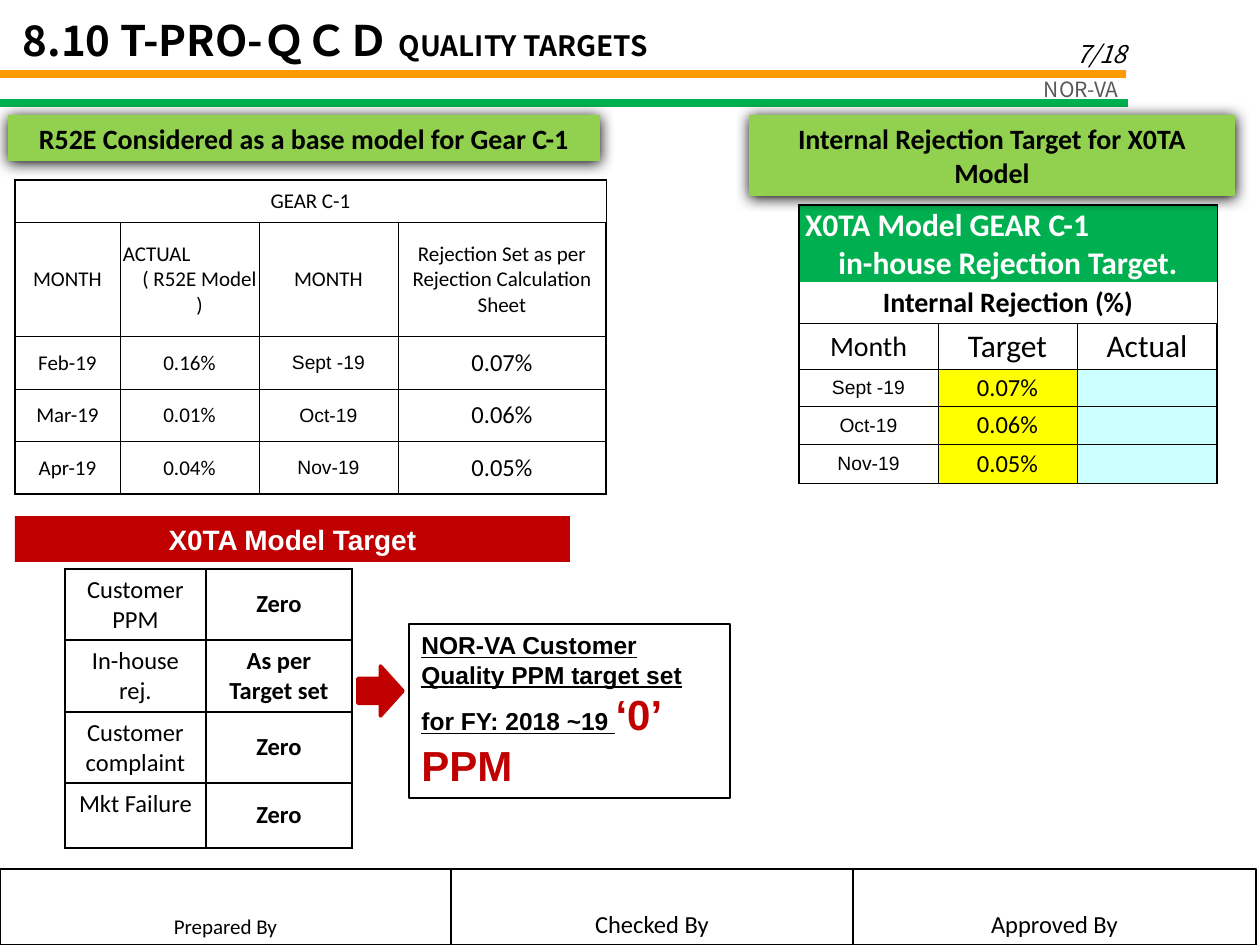
from lxml.etree import SubElement
from pptx import Presentation
from pptx.dml.color import RGBColor
from pptx.enum.shapes import MSO_CONNECTOR, MSO_SHAPE
from pptx.enum.text import MSO_ANCHOR, MSO_AUTO_SIZE, PP_ALIGN
from pptx.oxml import parse_xml
from pptx.oxml.ns import nsdecls, qn
from pptx.util import Pt

EMU_PER_PIXEL = 914400 / 126
COLORS = {
    "black": "000000", "white": "FFFFFF", "gray": "595959", "orange": "FF9900",
    "green": "00B050", "lime": "92D050", "red": "C00000", "yellow": "FFFF00",
    "aqua": "CCFFFF",
}
LEFT, CENTER, RIGHT = PP_ALIGN.LEFT, PP_ALIGN.CENTER, PP_ALIGN.RIGHT
TOP, MIDDLE, BOTTOM = MSO_ANCHOR.TOP, MSO_ANCHOR.MIDDLE, MSO_ANCHOR.BOTTOM


def px(value):
    return round(value * EMU_PER_PIXEL)


def rgb(color):
    return RGBColor.from_string(COLORS[color])


def look(size, name="Calibri", color="black", **font_format):
    return {"size": Pt(size), "name": name, "color": color, "bold": False, **font_format}


BODY = look(12)
VALUE = look(14)
STRONG = look(14, bold=True)
MONTH = look(11, "Arial")
BANNER = look(16, bold=True)


def add_run(paragraph, text, font_format):
    if not text:
        ending = SubElement(paragraph._p, qn("a:endParaRPr"))
        ending.set("sz", str(round(font_format["size"].pt * 100)))
        return
    run = paragraph.add_run()
    run.text = text
    for key, value in font_format.items():
        if key == "color":
            run.font.color.rgb = rgb(value)
        else:
            setattr(run.font, key, value)
    east_asian = SubElement(run.font._element, qn("a:ea"))
    east_asian.set("typeface", font_format["name"])


def write(frame, paragraphs):
    """Each paragraph is (alignment, left indent, [(text, look), ...])."""
    frame.word_wrap = True
    for index, (alignment, indent, runs) in enumerate(paragraphs):
        paragraph = frame.add_paragraph() if index else frame.paragraphs[0]
        paragraph.alignment = alignment
        if indent:
            paragraph._p.get_or_add_pPr().set("marL", str(px(indent)))
        for text, font_format in runs:
            add_run(paragraph, text, font_format)


def line_of(text, font_format, alignment=CENTER, indent=0):
    return alignment, indent, [(text, font_format)]


def add_label(slide, box, paragraph):
    label = slide.shapes.add_textbox(*map(px, box))
    label.text_frame.vertical_anchor = MIDDLE
    write(label.text_frame, [paragraph])


def add_rule(slide, right, y, color):
    rule = slide.shapes.add_connector(MSO_CONNECTOR.STRAIGHT, 0, px(y), px(right), px(y))
    rule.line.color.rgb = rgb(color)
    rule.line.width = Pt(4.5)
    SubElement(rule._element.spPr, qn("a:effectLst"))


def add_box(slide, box, paragraphs=(), fill=None, line=None, width=1, anchor=MIDDLE,
            preset=MSO_SHAPE.RECTANGLE, shadow=False):
    shape = slide.shapes.add_shape(preset, *map(px, box))
    if fill:
        shape.fill.solid()
        shape.fill.fore_color.rgb = rgb(fill)
    else:
        shape.fill.background()
    if line:
        shape.line.color.rgb = rgb(line)
        shape.line.width = Pt(width)
    else:
        shape.line.fill.background()
    shape.shadow.inherit = False
    if shadow:
        effects = shape._element.spPr.find(qn("a:effectLst"))
        effects.append(parse_xml(
            f'<a:outerShdw {nsdecls("a")} blurRad="{Pt(8.5)}" dist="{Pt(1)}" dir="5400000" '
            f'rotWithShape="0"><a:srgbClr val="{COLORS["black"]}"/></a:outerShdw>'))
    shape.text_frame.vertical_anchor = anchor
    write(shape.text_frame, paragraphs)


def set_borders(cell, widths):
    """Widths run left, right, top, bottom; zero hides the edge."""
    properties = cell._tc.get_or_add_tcPr()
    for index, (side, width) in enumerate(zip("LRTB", widths)):
        paint = (f'<a:solidFill><a:srgbClr val="{COLORS["black"]}"/></a:solidFill>'
                 if width else "<a:noFill/>")
        properties.insert(index, parse_xml(
            f'<a:ln{side} {nsdecls("a")} w="{Pt(width)}">{paint}</a:ln{side}>'))


def add_grid(slide, origin, columns, heights, rows, outer=(1, 1, 1, 1), inner=0.5,
             margins=(1, 1, 1, 0), open_edges=()):
    """Each cell is (paragraphs, fill, anchor); a one-cell row spans all columns."""
    size = sum(columns), sum(heights)
    table = slide.shapes.add_table(
        len(heights), len(columns), *map(px, (*origin, *size))).table
    table.first_row = table.horz_banding = False
    for column, width in zip(table.columns, columns):
        column.width = px(width)
    last_row, last_column = len(heights) - 1, len(columns) - 1
    for r, (row, height) in enumerate(zip(rows, heights)):
        table.rows[r].height = px(height)
        if len(row) == 1:
            table.cell(r, 0).merge(table.cell(r, last_column))
        for c in range(len(columns)):
            cell = table.cell(r, c)
            cell.fill.background()
            set_borders(cell, (
                inner if c else outer[0],
                inner if c < last_column else outer[1],
                (0 if r - 1 in open_edges else inner) if r else outer[2],
                (0 if r in open_edges else inner) if r < last_row else outer[3]))
            sides = ("margin_left", "margin_top", "margin_right", "margin_bottom")
            for side, margin in zip(sides, margins):
                setattr(cell, side, px(margin))
            if c < len(row):
                paragraphs, fill, cell.vertical_anchor = row[c]
                if fill:
                    cell.fill.solid()
                    cell.fill.fore_color.rgb = rgb(fill)
                write(cell.text_frame, paragraphs)


def entry(text, font_format=BODY, fill=None, anchor=MIDDLE):
    return [line_of(text, font_format)], fill, anchor


def main():
    deck = Presentation()
    deck.slide_width, deck.slide_height = px(1260), px(945)
    slide = deck.slides.add_slide(deck.slide_layouts[5])

    # Header
    noto = "Noto Sans CJK JP"
    title = slide.shapes.title
    title.left, title.top, title.width, title.height = map(px, (10, 8, 1119, 63))
    title.text_frame.auto_size = MSO_AUTO_SIZE.NONE
    title.text_frame.vertical_anchor = MIDDLE
    write(title.text_frame, [(LEFT, 0, [
        ("8.10 T-PRO-ＱＣＤ ", look(24, noto, bold=True)),
        ("QUALITY TARGETS", look(16, noto, bold=True))])])
    add_label(slide, (877, 22, 262, 63), line_of("7/18", look(14, noto, italic=True), RIGHT))
    add_rule(slide, 1126, 74, "orange")
    add_rule(slide, 1128, 103, "green")
    add_label(slide, (942, 70, 189, 38), line_of("NOR-VA", look(12, noto, color="gray"), RIGHT))

    # Base model history and the targets derived from it
    targets = [("Sept -19", "0.07%"), ("Oct-19", "0.06%"), ("Nov-19", "0.05%")]
    history = [("Feb-19", "0.16%"), ("Mar-19", "0.01%"), ("Apr-19", "0.04%")]
    actual_heading = [line_of("ACTUAL", BODY, LEFT, 2),
                      line_of("( R52E Model )", BODY, indent=20)]
    add_grid(slide, (15, 180), (105, 139, 139, 208), (42, 114, 53, 52, 53), [
        [entry("GEAR C-1")],
        [entry("MONTH"), (actual_heading, None, MIDDLE), entry("MONTH"),
         entry("Rejection Set as per Rejection Calculation Sheet")],
        *[[entry(past), entry(actual), entry(month, MONTH), entry(target, VALUE)]
          for (past, actual), (month, target) in zip(history, targets)],
    ])
    add_box(slide, (8, 115, 592, 46),
            [line_of("R52E Considered as a base model for Gear C-1", BANNER)],
            fill="lime", shadow=True)

    # Internal rejection targets
    heading = look(18, color="white", bold=True)
    rejection_heading = [line_of("X0TA Model GEAR C-1", heading, LEFT, 5),
                         line_of("in-house Rejection Target.", heading)]
    add_grid(slide, (799, 205), (139, 139, 140), (77, 41, 46, 37, 38, 39), [
        [(rejection_heading, "green", MIDDLE)],
        [entry("Internal Rejection (%)", BANNER)],
        [entry("Month", look(16)), entry("Target", look(18)), entry("Actual", look(18))],
        *[[entry(month, MONTH), entry(target, VALUE, "yellow"), entry("", VALUE, "aqua")]
          for month, target in targets],
    ], outer=(1, 1, 1, 0.5), open_edges=(0,))
    add_box(slide, (749, 115, 486, 81),
            [line_of("Internal Rejection Target for X0TA Model", BANNER)],
            fill="lime", shadow=True)

    # Model target summary
    add_box(slide, (15, 516, 555, 46),
            [line_of("X0TA Model Target", look(16, "Arial", "white", bold=True))], fill="red")
    goals = [("Customer PPM", "Zero"), ("In-house rej.", "As per Target set"),
             ("Customer complaint", "Zero"), ("Mkt Failure", "Zero")]
    add_grid(slide, (65, 569), (141, 146), (71, 72, 71, 65),
             [[entry(goal, VALUE, anchor=TOP), entry(target, STRONG)] for goal, target in goals],
             inner=1, margins=(13, 6, 13, 6))
    add_box(slide, (358, 666, 45, 50), fill="red", line="red", width=2,
            preset=MSO_SHAPE.RIGHT_ARROW)
    add_box(slide, (409, 624, 321, 174), [(LEFT, 0, [
        ("NOR-VA Customer Quality PPM target set for FY: 2018 ~19 ",
         look(14, "Arial", bold=True, underline=True)),
        ("‘0’ PPM", look(24, "Arial", "red", bold=True, underline=False))])],
        line="black", width=1.5, anchor=TOP)

    # Sign-off row
    left = 0
    for caption, width, size in (("Prepared By", 451, 12), ("Checked By", 402, 14),
                                 ("Approved By", 403, 14)):
        add_box(slide, (left, 869, width, 76), [line_of(caption, look(size))],
                line="black", width=0.75, anchor=BOTTOM)
        left += width

    deck.save("out.pptx")


main()
